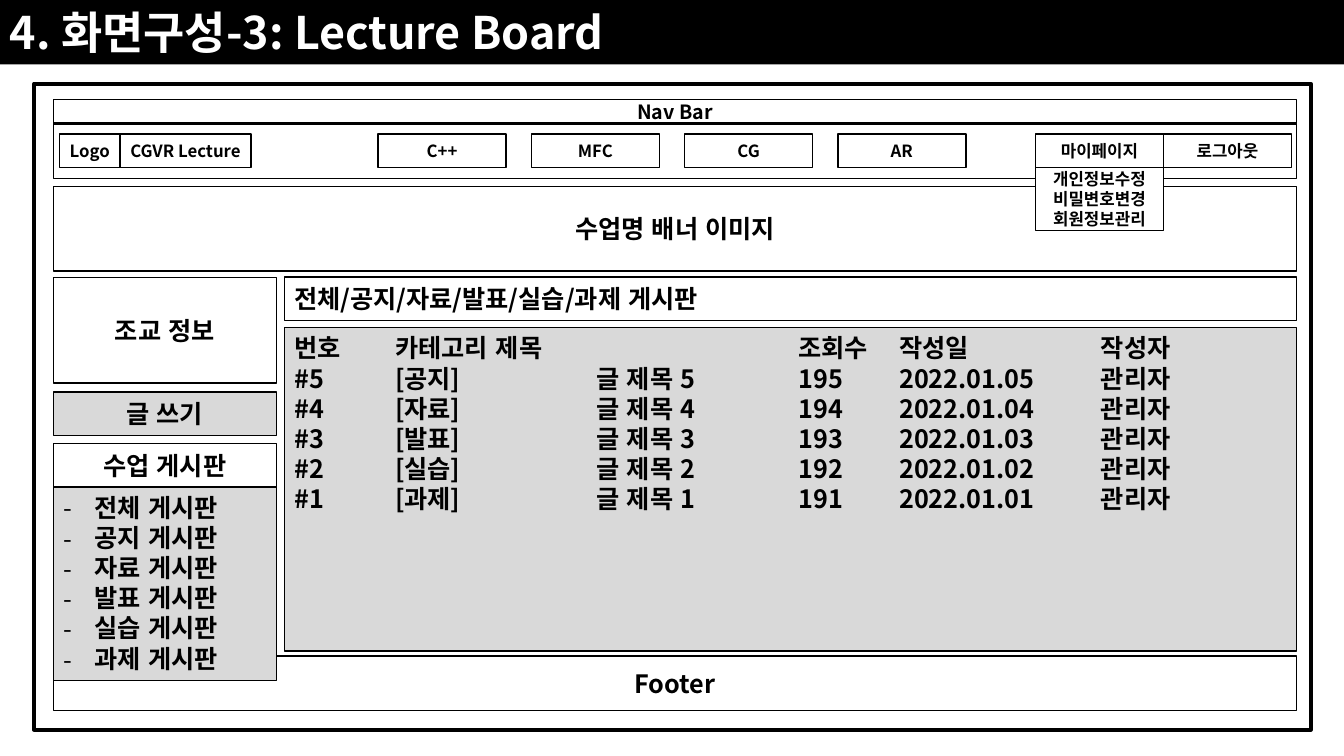
from lxml import etree
from pptx import Presentation
from pptx.dml.color import RGBColor
from pptx.enum.lang import MSO_LANGUAGE_ID
from pptx.enum.shapes import MSO_SHAPE
from pptx.enum.text import MSO_ANCHOR, PP_ALIGN
from pptx.oxml.ns import qn
from pptx.util import Inches, Pt

TITLE = "4. 화면구성-3: Lecture Board"
COURSES = ["C++", "MFC", "CG", "AR"]
ACCOUNT = ["마이페이지", "로그아웃"]
ACCOUNT_MENU = ["개인정보수정", "비밀변호변경", "회원정보관리"]
CATEGORIES = ["전체", "공지", "자료", "발표", "실습", "과제"]
POST_HEADER = "번호\t카테고리\t제목\t\t\t조회수\t작성일\t\t작성자"
POSTS = [(n, CATEGORIES[6 - n], 190 + n, f"2022.01.0{n}") for n in range(5, 0, -1)]

FONT = "Noto Sans CJK KR"
COLORS = {"black": "000000", "white": "FFFFFF", "gray": "D9D9D9"}

# Page grid, in inches
WIDTH, HEIGHT = 13.33, 7.5
LEFT, FULL_W = 0.53, 12.33
SIDE_W, GUTTER = 2.21, 0.08
MAIN_X = LEFT + SIDE_W + GUTTER
MAIN_W = LEFT + FULL_W - MAIN_X
ROW_H = 0.43
BODY_Y = 2.75
BOARD_Y = 4.4
BUTTON_Y, BUTTON_W, BUTTON_H = 1.33, 1.27, 0.33
COURSE_X, COURSE_STEP = 3.75, 1.52
ACCOUNT_X = 10.27
TAB_COUNT = 9


def add_dash(p):
    pPr = p._p.get_or_add_pPr()
    pPr.set("marL", str(Inches(0.31)))
    pPr.set("indent", str(-Inches(0.31)))
    etree.SubElement(pPr, qn("a:buFont")).set("typeface", FONT)
    etree.SubElement(pPr, qn("a:buChar")).set("char", "-")


def add_tabs(p):
    """Put a left tab stop at every inch."""
    tabs = etree.SubElement(p._p.get_or_add_pPr(), qn("a:tabLst"))
    for i in range(1, TAB_COUNT + 1):
        etree.SubElement(tabs, qn("a:tab"), pos=str(Inches(i)), algn="l")


def add_box(shapes, x, y, w, h, lines=(), size=18, fill="white", color="black",
            align=PP_ALIGN.CENTER, anchor=MSO_ANCHOR.MIDDLE, border=1, setup=None):
    """Add a rectangle with bold lines; setup prepares each paragraph."""
    s = shapes.add_shape(MSO_SHAPE.RECTANGLE, *map(Inches, (x, y, w, h)))
    s.shadow.inherit = False
    s.fill.solid()
    s.fill.fore_color.rgb = RGBColor.from_string(COLORS[fill])
    if border:
        s.line.color.rgb = RGBColor.from_string(COLORS["black"])
        s.line.width = Pt(border)
    else:
        s.line.fill.background()
    tf = s.text_frame
    tf.word_wrap = True
    tf.vertical_anchor = anchor
    for i, line in enumerate(lines):
        p = tf.add_paragraph() if i else tf.paragraphs[0]
        p.alignment = align
        if setup:
            setup(p)
        r = p.add_run()
        r.text = line
        r.font.size = Pt(size)
        r.font.bold = True
        r.font.name = FONT
        r.font.language_id = MSO_LANGUAGE_ID.KOREAN
        r.font.color.rgb = RGBColor.from_string(COLORS[color])
        etree.SubElement(r._r.get_or_add_rPr(), qn("a:ea")).set("typeface", FONT)


def add_button(shapes, x, label, w=BUTTON_W):
    add_box(shapes, x, BUTTON_Y, w, BUTTON_H, [label], size=12)


def add_header(shapes):
    add_box(shapes, 0.34, 0.83, 12.66, 6.41, border=3)
    add_box(shapes, 0, 0, WIDTH, 0.64, [TITLE], size=32, fill="black", color="white",
            align=PP_ALIGN.LEFT, anchor=MSO_ANCHOR.TOP, border=0)
    add_box(shapes, LEFT, 1.23, FULL_W, 0.54)
    add_box(shapes, LEFT, 1.85, FULL_W, 0.84, ["수업명 배너 이미지"])
    add_box(shapes, LEFT, 6.51, FULL_W, 0.54, ["Footer"])
    add_box(shapes, LEFT, 0.99, FULL_W, 0.23, ["Nav Bar"], size=14)
    for i, course in enumerate(COURSES):
        add_button(shapes, COURSE_X + i * COURSE_STEP, course)
    add_button(shapes, 0.59, "Logo", 0.6)
    add_button(shapes, 1.19, "CGVR Lecture", 1.3)


def add_sidebar(shapes):
    add_box(shapes, LEFT, BODY_Y, SIDE_W, 1.05, ["조교 정보"])
    add_box(shapes, LEFT, 3.89, SIDE_W, ROW_H, ["글 쓰기"], fill="gray")
    add_box(shapes, LEFT, BOARD_Y, SIDE_W, ROW_H, ["수업 게시판"])
    add_box(shapes, LEFT, BOARD_Y + ROW_H, SIDE_W, 1.92,
            [f"{c} 게시판" for c in CATEGORIES], fill="gray",
            align=PP_ALIGN.LEFT, anchor=MSO_ANCHOR.TOP, setup=add_dash)


def add_board(shapes):
    rows = [f"#{n}\t[{c}]\t\t글 제목 {n}\t\t{views}\t{date}\t관리자"
            for n, c, views, date in POSTS]
    add_box(shapes, MAIN_X, 3.25, MAIN_W, 3.21, [POST_HEADER] + rows, fill="gray",
            align=PP_ALIGN.LEFT, anchor=MSO_ANCHOR.TOP, setup=add_tabs)
    add_box(shapes, MAIN_X, BODY_Y, MAIN_W, ROW_H,
            ["/".join(CATEGORIES) + " 게시판"], align=PP_ALIGN.LEFT)


def add_account(shapes):
    for i, label in enumerate(ACCOUNT):
        add_button(shapes, ACCOUNT_X + i * BUTTON_W, label)
    add_box(shapes, ACCOUNT_X, BUTTON_Y + BUTTON_H, BUTTON_W, 0.63, ACCOUNT_MENU, size=12)


def main():
    prs = Presentation()
    prs.slide_width, prs.slide_height = Inches(WIDTH), Inches(HEIGHT)
    slide = prs.slides.add_slide(prs.slide_layouts[6])
    add_header(slide.shapes)
    add_sidebar(slide.shapes)
    add_board(slide.shapes)
    add_account(slide.shapes.add_group_shape().shapes)
    prs.save("out.pptx")


if __name__ == "__main__":
    main()
